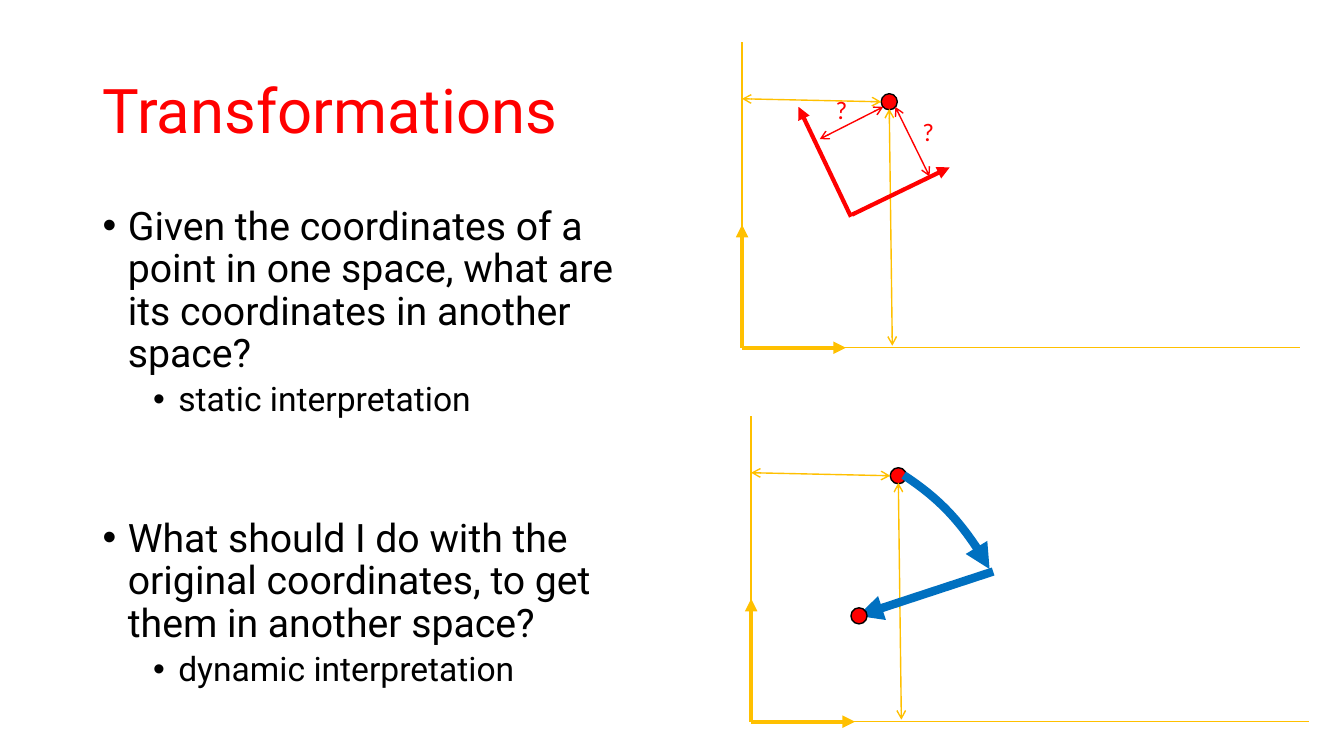
from lxml import etree
from pptx import Presentation
from pptx.dml.color import RGBColor
from pptx.enum.shapes import MSO_CONNECTOR, MSO_SHAPE
from pptx.enum.text import MSO_ANCHOR
from pptx.oxml.ns import qn
from pptx.util import Inches, Pt

STRAIGHT = MSO_CONNECTOR.STRAIGHT
OVAL, ARC = MSO_SHAPE.OVAL, MSO_SHAPE.ARC
TOP, MIDDLE = MSO_ANCHOR.TOP, MSO_ANCHOR.MIDDLE
RED = RGBColor(0xFF, 0x00, 0x00)
GOLD = RGBColor(0xFF, 0xC0, 0x00)
BLUE = RGBColor(0x00, 0x70, 0xC0)
BLACK = RGBColor(0x00, 0x00, 0x00)

# Content: text, level, space before in points
TITLE = "Transformations"
BULLETS = [
    ("Given the coordinates of a point in one space, what are its coordinates in another space?", 0, 10),
    ("static interpretation", 1, 5),
    ("What should I do with the original coordinates, to get them in another space?", 0, 71),
    ("dynamic interpretation", 1, 5),
]
LEVELS = [(28, 0.25), (24, 0.75)]  # font size, left margin
HANGING = 0.25

# Diagrams: origins of the two frames, then parts relative to an origin
STATIC_ORIGIN = (7.36, 3.45)
DYNAMIC_ORIGIN = (7.45, 7.16)
POINT = (1.46, -2.44)
DOT_SIZE = 0.16
FRAME_LINES = [  # start, end, width, head, tail
    ((0, 0), (0, -1.22), 3, None, "triangle"),
    ((0, 0), (1.03, 0), 3, None, "triangle"),
    ((1.46, -2.37), (1.49, -0.02), 1, "arrow", "arrow"),
    ((1.38, -2.44), (0, -2.47), 1, "arrow", "arrow"),
    ((0, 0), (5.53, 0), 1, None, None),
    ((0, 0), (0, -3.03), 1, None, None),
]
ROTATED_LINES = [
    ((8.44, 2.15), (7.92, 1.06), 3, None, "triangle"),
    ((8.45, 2.13), (9.42, 1.66), 3, None, "triangle"),
    ((8.76, 1.06), (8.13, 1.38), 1, "arrow", "arrow"),
    ((8.88, 1.06), (9.22, 1.75), 1, "arrow", "arrow"),
]
QUESTION_MARKS = [(8.19, 0.89), (9.05, 1.1)]
ARC_BOX = (5.1, 4.31, 5.04, 5.25)
ARC_DEGREES = (301.15, 329.57)
MOVE_LINE = ((9.85, 5.67), (8.51, 6.11), 6, None, "triangle")
MOVED_POINT = (8.52, 6.11)

presentation = Presentation()
presentation.slide_width, presentation.slide_height = Inches(13.33), Inches(7.5)
slide = presentation.slides.add_slide(presentation.slide_layouts[6])


def style_line(line, color, width, head=None, tail=None):
    line.color.rgb = color
    line.width = Pt(width)
    for tag, kind in (("a:headEnd", head), ("a:tailEnd", tail)):
        if kind:
            etree.SubElement(line._get_or_add_ln(), qn(tag), type=kind)


def add_line(color, start, end, width, head, tail, origin=(0, 0)):
    ends = [Inches(value + shift) for place in (start, end) for value, shift in zip(place, origin)]
    connector = slide.shapes.add_connector(STRAIGHT, *ends)
    style_line(connector.line, color, width, head, tail)
    etree.SubElement(connector._element.spPr, qn("a:effectLst"))


def add_dot(x, y):
    half = DOT_SIZE / 2
    dot = slide.shapes.add_shape(OVAL, Inches(x - half), Inches(y - half), Inches(DOT_SIZE), Inches(DOT_SIZE))
    dot.shadow.inherit = False
    dot.fill.solid()
    dot.fill.fore_color.rgb = RED
    style_line(dot.line, BLACK, 1)


def add_text_box(left, top, width, height, anchor=TOP, wrap=True):
    box = slide.shapes.add_textbox(Inches(left), Inches(top), Inches(width), Inches(height))
    box.text_frame.word_wrap = wrap
    box.text_frame.vertical_anchor = anchor
    return box.text_frame


def set_text(paragraph, text, size, color, font="Roboto"):
    paragraph.text = text
    paragraph.font.name = font
    paragraph.font.size = Pt(size)
    paragraph.font.color.rgb = color


# Title
title = add_text_box(0.92, 0.4, 11.5, 1.45, MIDDLE).paragraphs[0]
set_text(title, TITLE, 44, RED)
title.line_spacing = 0.9

# Bullet list
body = add_text_box(0.92, 2, 5.52, 4.76)
for index, (text, level, space) in enumerate(BULLETS):
    paragraph = body.add_paragraph() if index else body.paragraphs[0]
    size, margin = LEVELS[level]
    set_text(paragraph, text, size, BLACK)
    paragraph.level = level
    paragraph.line_spacing = 0.9
    paragraph.space_before = Pt(space)
    properties = paragraph._p.get_or_add_pPr()
    properties.set("marL", str(Inches(margin)))
    properties.set("indent", str(-Inches(HANGING)))
    bullet_font = etree.Element(qn("a:buFont"), typeface="Arial")
    bullet = etree.Element(qn("a:buChar"), char="•")
    default_run = properties.find(qn("a:defRPr"))
    default_run.addprevious(bullet_font)
    default_run.addprevious(bullet)

# Frame and point shared by both diagrams
for origin in (STATIC_ORIGIN, DYNAMIC_ORIGIN):
    add_dot(origin[0] + POINT[0], origin[1] + POINT[1])
    for frame_line in FRAME_LINES:
        add_line(GOLD, *frame_line, origin=origin)

# Static diagram: rotated frame with unknown coordinates
for rotated_line in ROTATED_LINES:
    add_line(RED, *rotated_line)
for left, top in QUESTION_MARKS:
    label = add_text_box(left, top, 0.32, 0.4, wrap=False)
    set_text(label.paragraphs[0], "?", 18, RED, "Calibri")

# Dynamic diagram: rotation, then translation
arc = slide.shapes.add_shape(ARC, *map(Inches, ARC_BOX))
arc.shadow.inherit = False
arc.fill.background()
for index, degrees in enumerate(ARC_DEGREES):
    arc.adjustments[index] = degrees * 0.6  # 60000 units per degree, scaled by 100000
style_line(arc.line, BLUE, 6, tail="triangle")
add_line(BLUE, *MOVE_LINE)
add_dot(*MOVED_POINT)

presentation.save("out.pptx")
